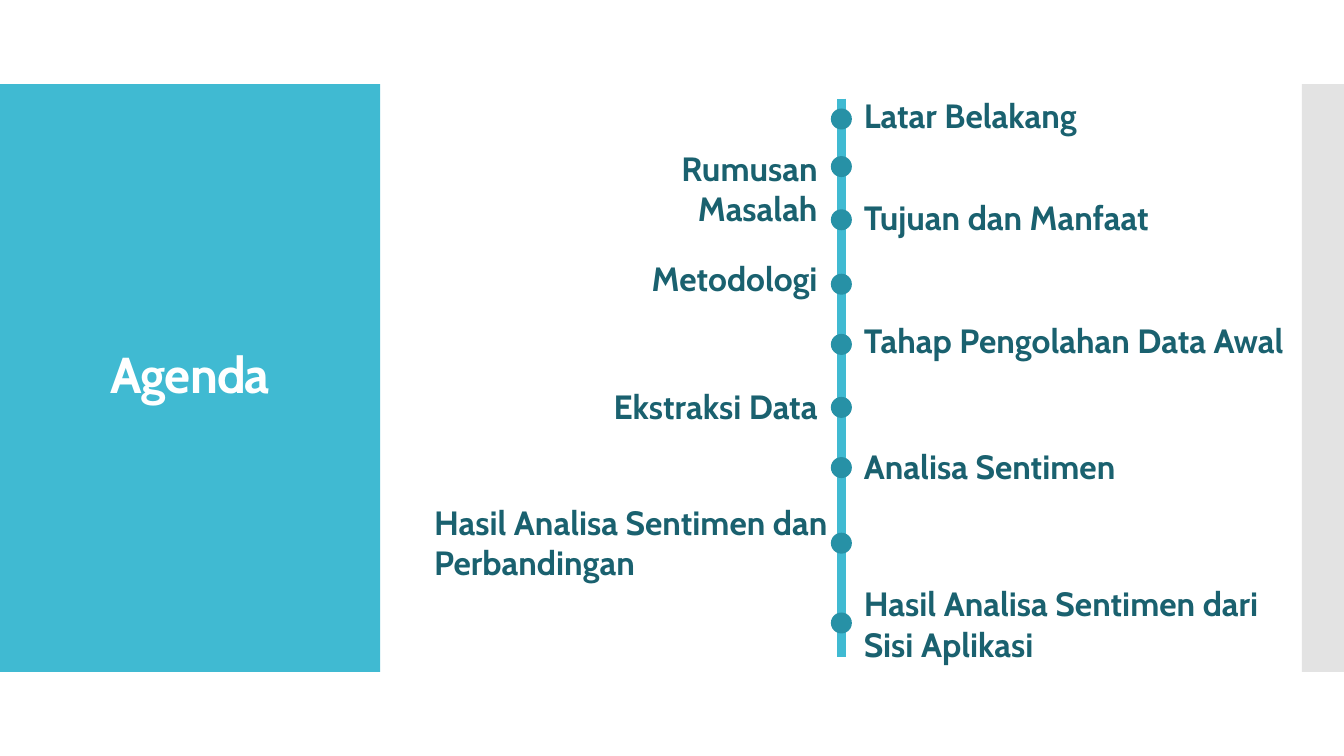
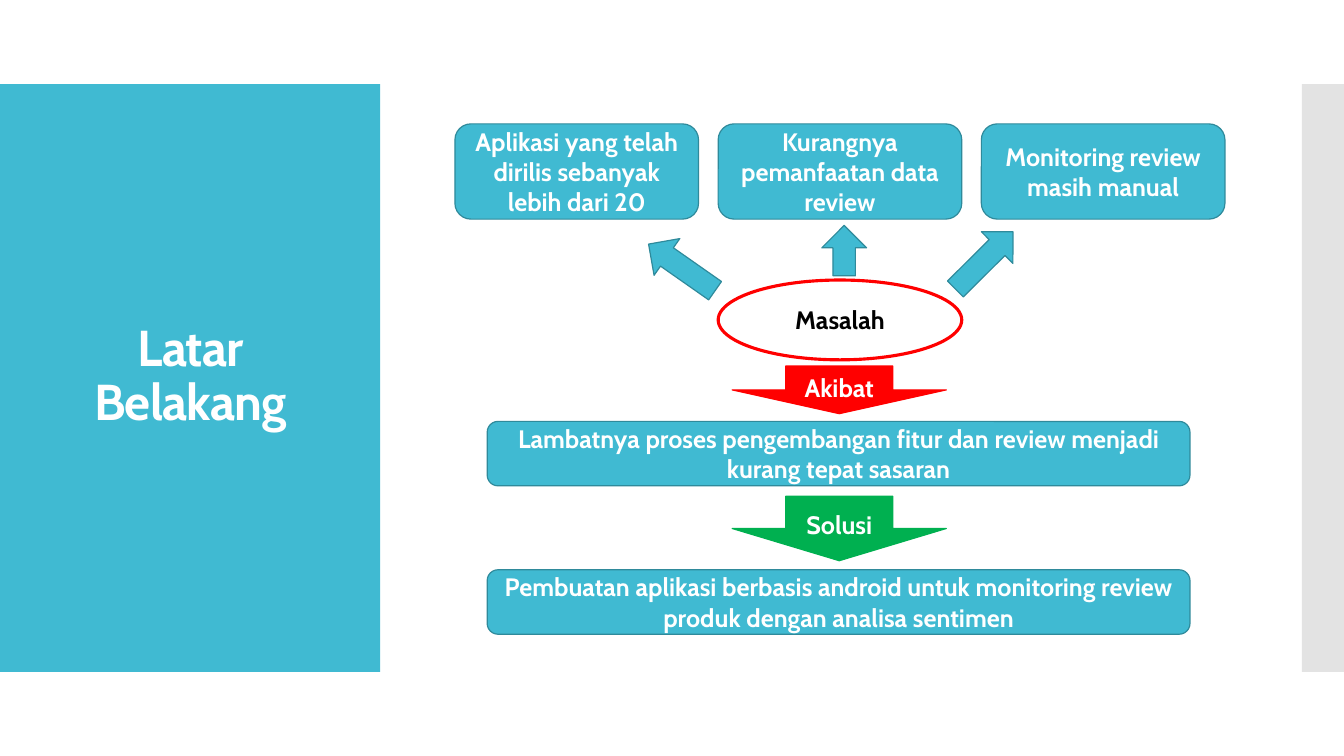
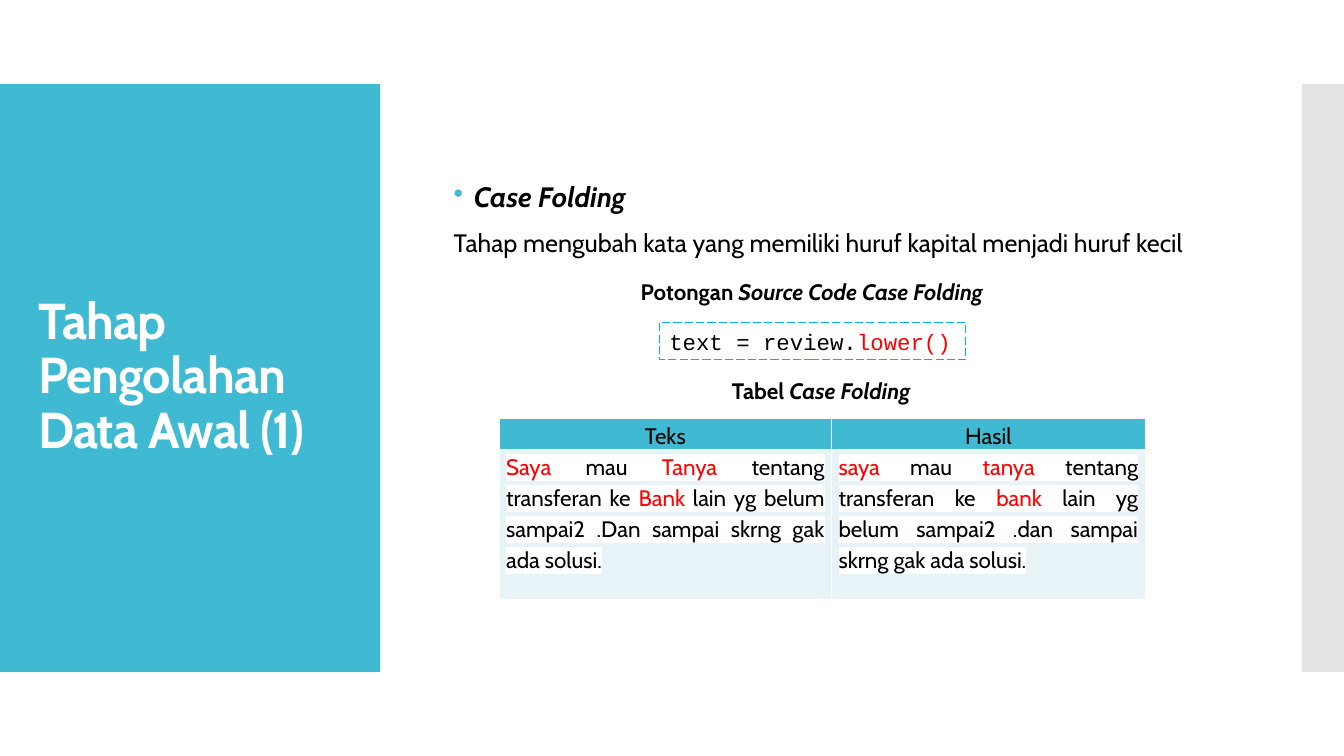
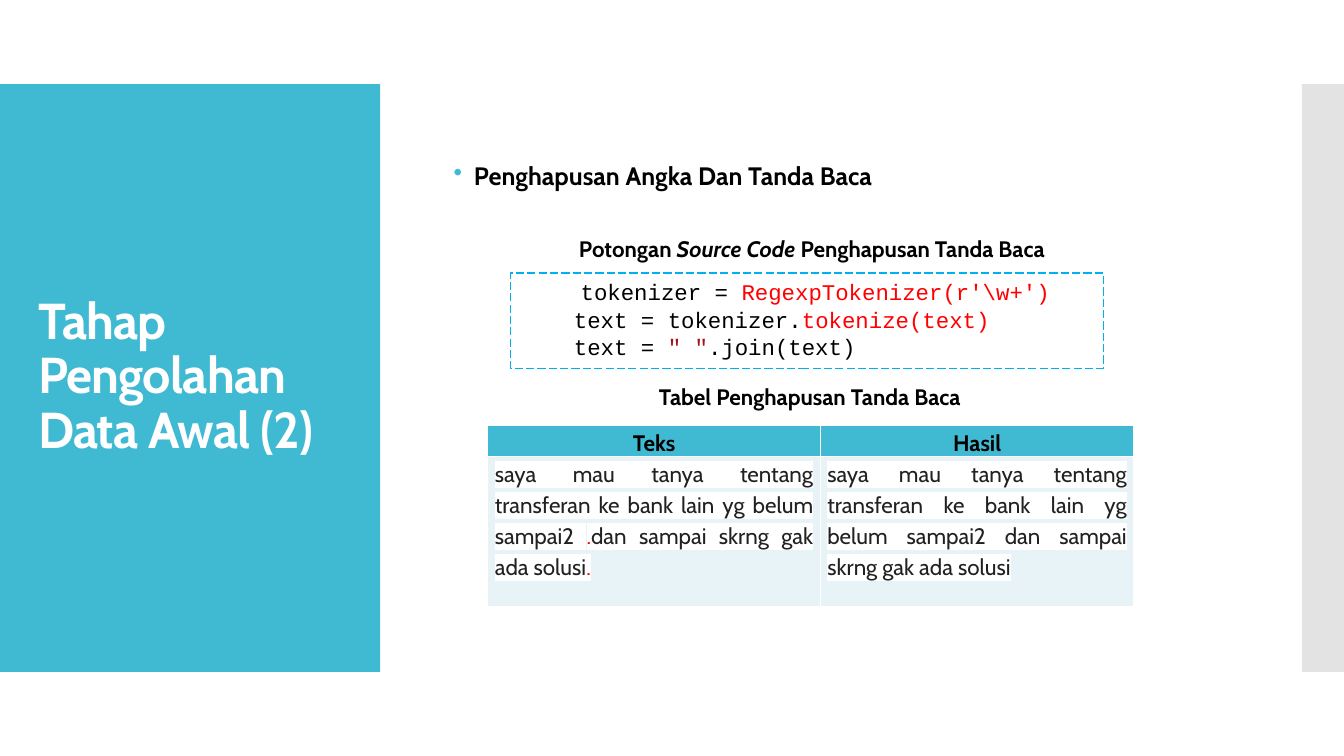
from lxml import etree
from pptx import Presentation
from pptx.dml.color import RGBColor
from pptx.enum.dml import MSO_LINE_DASH_STYLE as Dash
from pptx.enum.shapes import MSO_CONNECTOR as Connector, MSO_SHAPE as Shape
from pptx.enum.text import MSO_ANCHOR as Anchor, MSO_AUTO_SIZE as AutoSize, PP_ALIGN as Align
from pptx.oxml.ns import qn
from pptx.util import Pt

COLORS = {
    "teal": "40BAD2", "edge": "2F8A9B", "dot": "2791A6", "label": "1A616F",
    "grey": "C8C8C8", "white": "FFFFFF", "black": "000000", "ink": "212121",
    "red": "FF0000", "green": "00B050", "dash": "00B0F0", "quote": "A31515",
    "cell": "E8F3F7",
}
FONT, CODE_FONT = "Cabin", "Courier New"

AXIS_X = 601
DOT_SIZE = 15
AGENDA = [
    ("right", 85, 64, ["Latar Belakang"]),
    ("left", 119, 102, ["Rumusan Masalah"]),
    ("right", 157, 137, ["Tujuan dan Manfaat"]),
    ("left", 203, 181, ["Metodologi"]),
    ("right", 246, 225, ["Tahap Pengolahan Data Awal"]),
    ("left", 291, 272, ["Ekstraksi Data"]),
    ("right", 334, 315, ["Analisa Sentimen"]),
    ("wide", 388, 355, ["Hasil Analisa Sentimen dan", "Perbandingan"]),
    ("right", 445, 413, ["Hasil Analisa Sentimen dari", "Sisi Aplikasi"]),
]
LABEL_SIDES = {
    "right": (610, 325, Align.LEFT),
    "left": (391, 200, Align.RIGHT),
    "wide": (303, 305, Align.LEFT),
}

PROBLEMS = [
    "Aplikasi yang telah dirilis sebanyak lebih dari 20",
    "Kurangnya pemanfaatan data review",
    "Monitoring review masih manual",
]
PROBLEM_ARROWS = [(458, 175, 58, 215), (585, 163, 36, 270), (674, 170, 58, 315.2)]
OUTCOMES = [
    ("Akibat", "red", 261.5, 34, 301,
     "Lambatnya proses pengembangan fitur dan review menjadi kurang tepat sasaran"),
    ("Solusi", "green", 354.5, 46, 407,
     "Pembuatan aplikasi berbasis android untuk monitoring review produk dengan analisa sentimen"),
]

COLUMN_WIDTHS = [237.5, 224]
ROW_HEIGHTS = [20, 107.5]
STAGES = [
    {
        "title": "Tahap Pengolahan Data Awal (1)",
        "body_top": 107,
        "heading": ("Case Folding", {"size": 20, "bold": True, "italic": True}),
        "summary": ["Tahap mengubah kata yang memiliki huruf kapital menjadi huruf kecil"],
        "captions": [("Potongan| Source Code Case Folding", 397.5, 195),
                     ("Tabel |Case Folding", 404, 265.5)],
        "code_box": (471, 230.5, 219, 26.5),
        "code": [("text = review.|lower()", "red", 0, 0)],
        "table_at": (356.5, 299),
        "header_bold": False,
        "cell_color": "black",
        "cells": [
            "|Saya| mau |Tanya| tentang transferan ke |Bank| lain yg belum sampai2 .Dan sampai skrng gak ada solusi.",
            "|saya| mau |tanya| tentang transferan ke |bank| lain yg belum sampai2 .dan sampai skrng gak ada solusi.",
        ],
    },
    {
        "title": "Tahap Pengolahan Data Awal (2)",
        "body_top": 76,
        "heading": ("Penghapusan Angka Dan Tanda Baca", {"size": 18, "bold": True}),
        "summary": [],
        "captions": [("Potongan| Source Code |Penghapusan Tanda Baca", 397.5, 164),
                     ("Tabel Penghapusan Tanda Baca", 396, 270)],
        "code_box": (364.5, 195, 423.5, 68),
        "code": [
            ("tokenizer = |RegexpTokenizer(r'\\w+')", "red", 38.4, 4.8),
            ("text = tokenizer.|tokenize(text)", "red", 38.4, 0),
            ('text = |" "|.join(text)', "quote", 38.4, 0),
        ],
        "table_at": (348.5, 304),
        "header_bold": True,
        "cell_color": "ink",
        "cells": [
            "saya mau tanya tentang transferan ke bank lain yg belum sampai2 |.|dan sampai skrng gak ada solusi|.",
            "saya mau tanya tentang transferan ke bank lain yg belum sampai2 dan sampai skrng gak ada solusi",
        ],
    },
]


def rgb(name):
    return RGBColor.from_string(COLORS[name])


def points(values):
    return [Pt(value) for value in values]


def add_color(parent, tag, color):
    holder = etree.SubElement(parent, qn(tag))
    etree.SubElement(holder, qn("a:srgbClr"), val=COLORS[color])
    return holder


def style_span(span, size=18, color="black", font=FONT, bold=False, italic=False, highlight=None):
    look = span.font
    look.size, look.name, look.bold, look.italic = Pt(size), font, bold, italic
    look.color.rgb = rgb(color)
    if highlight:
        properties = span._r.get_or_add_rPr()
        mark = add_color(properties, "a:highlight", highlight)
        properties.find(qn("a:solidFill")).addnext(mark)


def write(para, text, align=Align.LEFT, accent=None, **look):
    para.alignment = align
    for index, part in enumerate(text.split("|")):
        if part:
            span = para.add_run()
            span.text = part
            style_span(span, **(look | (accent or {}) if index % 2 else look))


def paragraphs(frame, count):
    return [frame.paragraphs[0]] + [frame.add_paragraph() for _ in range(count - 1)]


def add_shape(page, kind, bounds, fill, line=None, weight=0.85, rotation=0):
    shape = page.shapes.add_shape(kind, *points(bounds))
    shape.shadow.inherit = False
    shape.rotation = rotation
    shape.fill.solid()
    shape.fill.fore_color.rgb = rgb(fill)
    if line:
        shape.line.color.rgb = rgb(line)
        shape.line.width = Pt(weight)
    else:
        shape.line.fill.background()
    return shape


def add_label_shape(page, kind, bounds, text, fill, line, color="white", weight=0.85):
    shape = add_shape(page, kind, bounds, fill, line, weight)
    frame = shape.text_frame
    frame.word_wrap = True
    frame.vertical_anchor = Anchor.MIDDLE
    write(frame.paragraphs[0], text, Align.CENTER, color=color, bold=True)
    return frame


def add_textbox(page, bounds, anchor=Anchor.TOP):
    box = page.shapes.add_textbox(*points(bounds))
    box.text_frame.word_wrap = True
    box.text_frame.vertical_anchor = anchor
    return box


def add_layout_bands(page):
    panel = add_shape(page, Shape.RECTANGLE, (0, 60, 271.5, 420), "teal")
    strip = add_shape(page, Shape.RECTANGLE, (930, 60, 30, 420), "grey")
    tint = strip.fill._xPr.find(qn("a:solidFill")).find(qn("a:srgbClr"))
    etree.SubElement(tint, qn("a:alpha"), val="50000")
    tree = page.slide_layout.shapes._spTree
    for position, band in enumerate((panel, strip), start=2):
        tree.insert(position, band._element)


def add_page(deck, title, align=Align.LEFT):
    page = deck.slides.add_slide(deck.slide_layouts[5])
    box = page.shapes.title
    box.left, box.top, box.width, box.height = points((20, 88.5, 232, 362))
    frame = box.text_frame
    frame.text = title
    frame.word_wrap = True
    frame.auto_size = AutoSize.NONE
    frame.vertical_anchor = Anchor.MIDDLE
    para = frame.paragraphs[0]
    para.alignment = align
    para.line_spacing = 0.9
    style_span(para.runs[0], 36, "white", bold=True)
    para.runs[0]._r.get_or_add_rPr().set("spc", "-60")
    return page


def build_agenda(deck):
    page = add_page(deck, "Agenda", Align.CENTER)
    add_layout_bands(page)
    axis = page.shapes.add_connector(Connector.STRAIGHT, *points((AXIS_X, 70.5, AXIS_X, 469.5)))
    axis.line.color.rgb = rgb("teal")
    axis.line.width = Pt(6)
    etree.SubElement(axis._element.spPr, qn("a:effectLst"))
    for side, dot_y, top, lines in AGENDA:
        dot = (AXIS_X - DOT_SIZE / 2, dot_y - DOT_SIZE / 2, DOT_SIZE, DOT_SIZE)
        add_shape(page, Shape.OVAL, dot, "dot")
        left, width, align = LABEL_SIDES[side]
        frame = add_textbox(page, (left, top, width, 7 + 29 * len(lines))).text_frame
        for para, line in zip(paragraphs(frame, len(lines)), lines):
            write(para, line, align, size=24, color="label", bold=True)


def build_background(deck):
    page = add_page(deck, "Latar Belakang", Align.CENTER)
    for index, text in enumerate(PROBLEMS):
        bounds = (325 + 188 * index, 88.5, 174, 68)
        add_label_shape(page, Shape.ROUNDED_RECTANGLE, bounds, text, "teal", "edge")
    for left, top, width, rotation in PROBLEM_ARROWS:
        add_shape(page, Shape.RIGHT_ARROW, (left, top, width, 32), "teal", "edge", rotation=rotation)
    add_label_shape(page, Shape.OVAL, (513, 200, 174, 57), "Masalah", "white", "red", "black", 2.25)
    for label, color, arrow_top, arrow_height, bar_top, text in OUTCOMES:
        bounds = (523, arrow_top, 153, arrow_height)
        frame = add_label_shape(page, Shape.DOWN_ARROW, bounds, label, color, color)
        frame.margin_left = frame.margin_right = frame.margin_bottom = 0
        frame.margin_top = Pt(5)
        bar = (348, bar_top, 502, 46)
        add_label_shape(page, Shape.ROUNDED_RECTANGLE, bar, text, "teal", "edge")


def add_body(page, stage):
    frame = add_textbox(page, (317, stage["body_top"], 576, 101.5), Anchor.MIDDLE).text_frame
    heading, look = stage["heading"]
    entries = [(heading, look)] + [(text, {}) for text in stage["summary"]]
    body = paragraphs(frame, len(entries))
    for para, (text, style) in zip(body, entries):
        write(para, text, **style)
        para.line_spacing = 0.9
        para.space_before = Pt(12)
    properties = body[0]._p.get_or_add_pPr()
    properties.set("marL", str(Pt(14.4)))
    properties.set("indent", str(Pt(-14.4)))
    add_color(properties, "a:buClr", "teal")
    etree.SubElement(properties, qn("a:buChar"), char="•")


def add_code(page, stage):
    box = add_textbox(page, stage["code_box"])
    box.line.color.rgb = rgb("dash")
    box.line.width = Pt(0.75)
    box.line.dash_style = Dash.LONG_DASH
    lines = stage["code"]
    for para, (text, color, margin, indent) in zip(paragraphs(box.text_frame, len(lines)), lines):
        write(para, text, accent={"color": color}, size=16, font=CODE_FONT)
        para.line_spacing = Pt(19.5)
        properties = para._p.get_or_add_pPr()
        properties.set("marL", str(Pt(margin)))
        properties.set("indent", str(Pt(indent)))


def style_cell(cell, fill):
    cell.fill.solid()
    cell.fill.fore_color.rgb = rgb(fill)
    cell.margin_left = cell.margin_right = Pt(5)
    cell.margin_top = cell.margin_bottom = 0
    properties = cell._tc.get_or_add_tcPr()
    for position, side in enumerate(("a:lnL", "a:lnR", "a:lnT", "a:lnB")):
        border = etree.Element(qn(side), w=str(Pt(1)))
        add_color(border, "a:solidFill", "white")
        properties.insert(position, border)


def add_comparison(page, stage):
    size = (sum(COLUMN_WIDTHS), sum(ROW_HEIGHTS))
    table = page.shapes.add_table(2, 2, *points(stage["table_at"] + size)).table
    table.first_row = table.horz_banding = False
    for column, width in zip(table.columns, COLUMN_WIDTHS):
        column.width = Pt(width)
    for row, height in zip(table.rows, ROW_HEIGHTS):
        row.height = Pt(height)
    header_look = {"align": Align.CENTER, "bold": stage["header_bold"]}
    cell_look = {"align": Align.JUSTIFY, "color": stage["cell_color"],
                 "highlight": "white", "accent": {"color": "red"}}
    rows = [(["Teks", "Hasil"], "teal", header_look), (stage["cells"], "cell", cell_look)]
    for row_index, (texts, fill, look) in enumerate(rows):
        for column_index, text in enumerate(texts):
            cell = table.cell(row_index, column_index)
            style_cell(cell, fill)
            para = cell.text_frame.paragraphs[0]
            para.line_spacing = 1.15
            write(para, text, size=16, **look)


def build_stage(deck, stage):
    page = add_page(deck, stage["title"])
    add_body(page, stage)
    add_code(page, stage)
    add_comparison(page, stage)
    for text, left, top in stage["captions"]:
        frame = add_textbox(page, (left, top, 365, 26.5), Anchor.MIDDLE).text_frame
        write(frame.paragraphs[0], text, Align.CENTER, {"italic": True}, size=16, bold=True)


def main():
    deck = Presentation()
    deck.slide_width, deck.slide_height = points((960, 540))
    build_agenda(deck)
    build_background(deck)
    for stage in STAGES:
        build_stage(deck, stage)
    deck.save("out.pptx")


if __name__ == "__main__":
    main()
